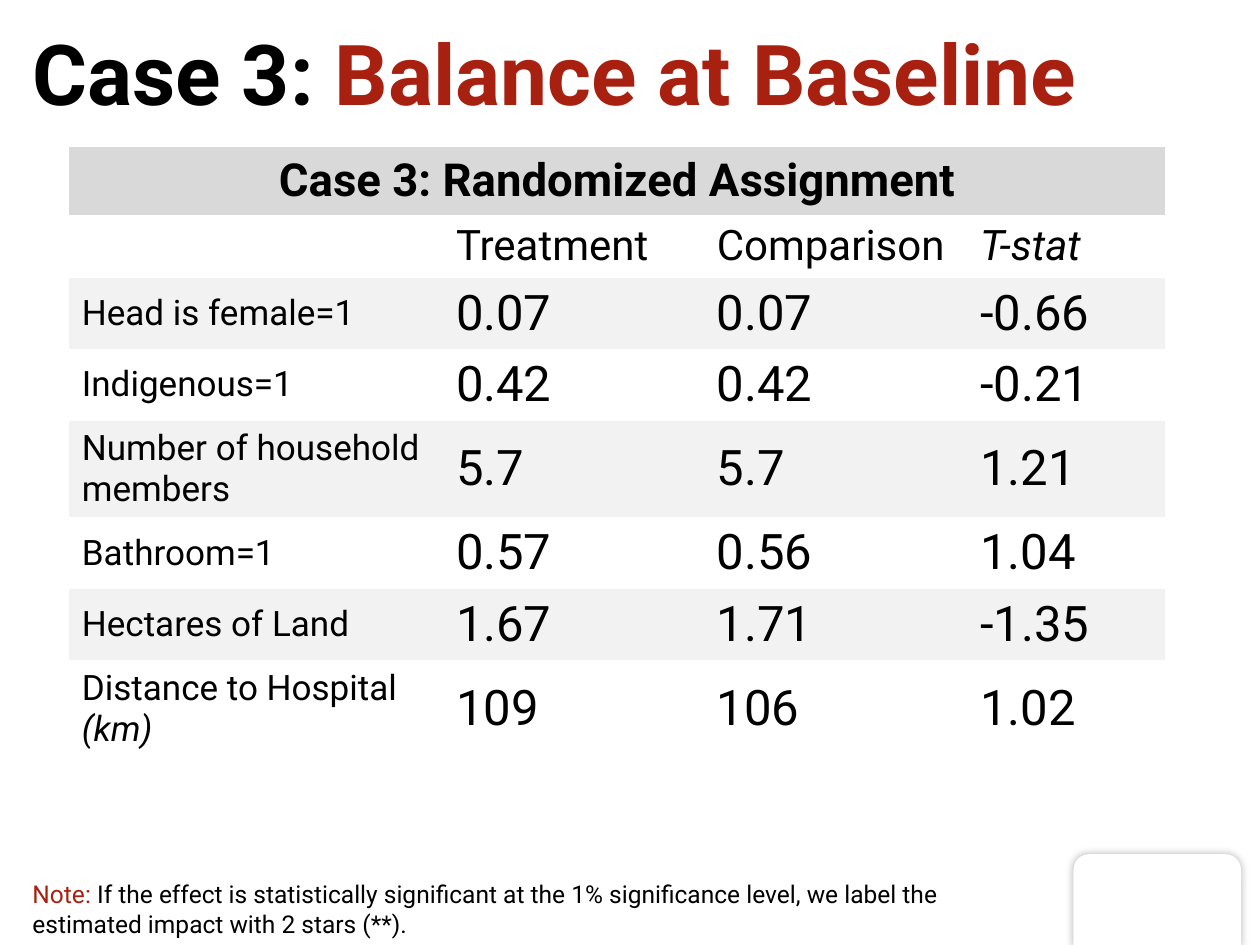
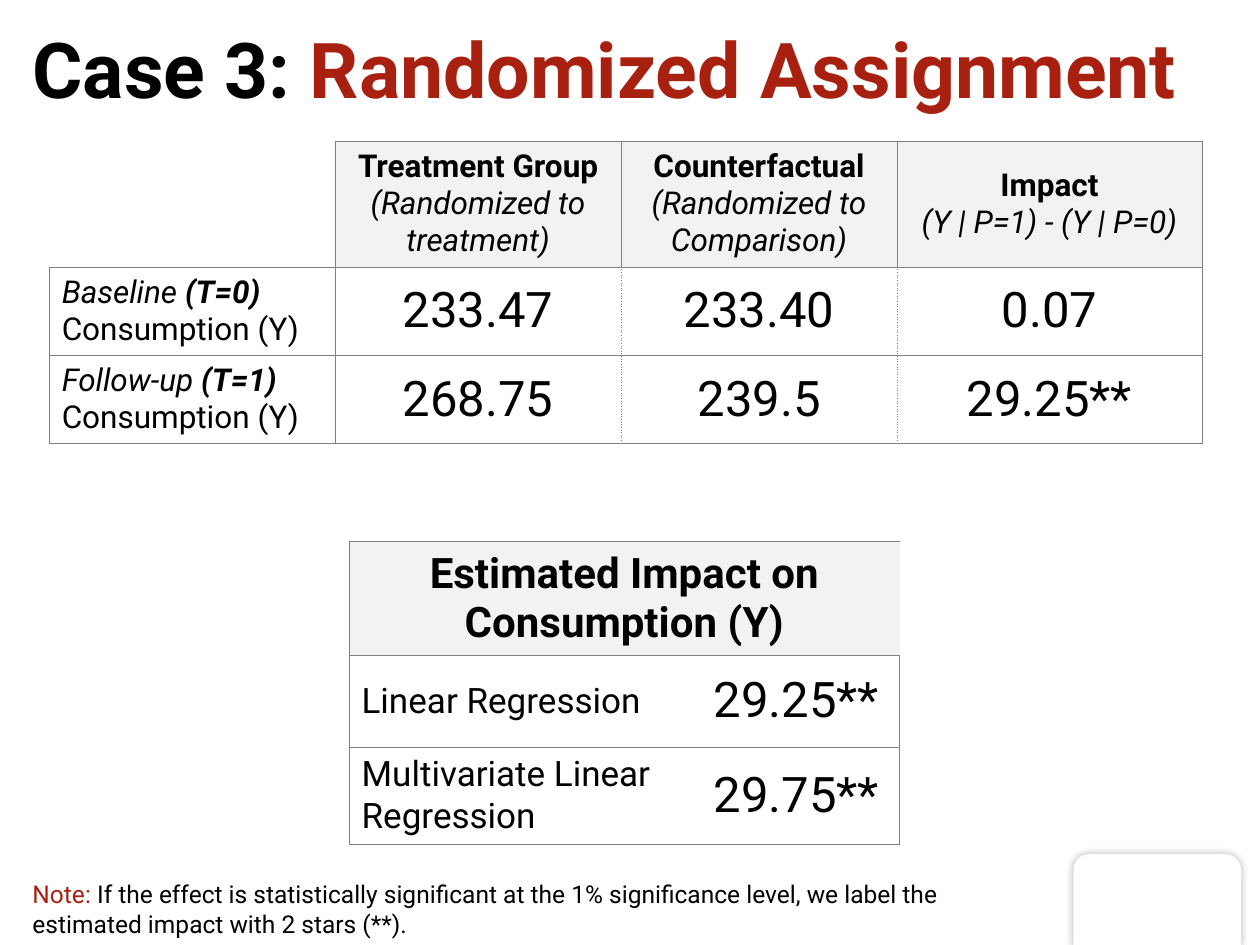
from lxml import etree
from pptx import Presentation
from pptx.dml.color import RGBColor
from pptx.enum.shapes import MSO_SHAPE
from pptx.enum.text import MSO_ANCHOR, PP_ALIGN
from pptx.oxml import parse_xml
from pptx.oxml.ns import qn
from pptx.util import Inches, Pt

BLACK = RGBColor(0x00, 0x00, 0x00)
WHITE = RGBColor(0xFF, 0xFF, 0xFF)
RED = RGBColor(0xA8, 0x20, 0x10)
HEAD = RGBColor(0xD9, 0xD9, 0xD9)
PALE = RGBColor(0xF2, 0xF2, 0xF2)
GREY = RGBColor(0x80, 0x80, 0x80)
LEFT, MID = PP_ALIGN.LEFT, PP_ALIGN.CENTER
MIDDLE = MSO_ANCHOR.MIDDLE
TAB = MSO_SHAPE.ROUND_2_SAME_RECTANGLE
FONT = "Roboto"
WIDE, HIGH = 10, 7.5
EDGE = 0.16
SOLID, DOT = "solid", "sysDot"
SHADOW = (
    '<a:effectLst xmlns:a="http://schemas.openxmlformats.org/drawingml/2006/main">'
    '<a:outerShdw blurRad="63500" dist="0" algn="ctr" rotWithShape="0">'
    '<a:srgbClr val="000000"><a:alpha val="30000"/></a:srgbClr>'
    '</a:outerShdw></a:effectLst>'
)

NOTE = [
    ("Note: ", "", RED),
    ("If the effect is statistically significant at the 1% significance level, "
     "we label the estimated impact with 2 stars (**).", ""),
]


def label(*runs):
    return 20, LEFT, [[(runs[0], "")] + [(run, "i") for run in runs[1:]]]


def value(text, align=MID):
    return 28, align, [[(text, "")]]


def name(text, style=""):
    return 24, LEFT, [[(text, style)]]


def banner(text, size):
    return size, MID, [[(text, "b")]]


def group(*paras):
    return 18, MID, paras


def period(text, time):
    return 18, LEFT, [[(text, "i"), (time, "bi")], [("Consumption (Y)", "")]]


BALANCE = [
    (["Head is female=1"], "0.07", "0.07", "-0.66"),
    (["Indigenous=1"], "0.42", "0.42", "-0.21"),
    (["Number of household members"], "5.7", "5.7", "1.21"),
    (["Bathroom=1"], "0.57", "0.56", "1.04"),
    (["Hectares of Land"], "1.67", "1.71", "-1.35"),
    (["Distance to Hospital ", "(km)"], "109", "106", "1.02"),
]
MEANS = [
    ("Baseline ", "(T=0)", "233.47", "233.40", "0.07"),
    ("Follow-up ", "(T=1)", "268.75", "239.5", "29.25**"),
]
MODELS = [
    ("Linear Regression", "29.25**"),
    ("Multivariate Linear Regression", "29.75**"),
]


def balance_fill(row, col):
    return HEAD if row == 0 else PALE if row % 2 == 0 else None


def balance_line(row, col):
    return {}


def means_fill(row, col):
    return PALE if row == 0 and col else None


def means_line(row, col):
    if row == col == 0:
        return {"R": SOLID, "B": SOLID}
    return {
        "L": DOT if row and col > 1 else SOLID,
        "R": DOT if row and 0 < col < 3 else SOLID,
        "T": SOLID,
        "B": SOLID,
    }


def model_fill(row, col):
    return PALE if row == 0 else None


def model_line(row, col):
    return {"R" if col else "L": SOLID, "T": SOLID, "B": SOLID}


TABLES = {
    "balance": dict(
        at=(0.55, 1.17),
        cols=[2.97, 2.07, 2.09, 1.57],
        rows=[0.52, 0.49, 0.56, 0.56, 0.75, 0.56, 0.56, 0.75],
        cells=[
            [banner("Case 3: Randomized Assignment", 26)],
            [None, name("Treatment"), name("Comparison"), name("T-stat", "i")],
        ] + [[label(*head)] + [value(num, LEFT) for num in nums]
             for head, *nums in BALANCE],
        fill=balance_fill,
        line=balance_line,
    ),
    "means": dict(
        at=(0.39, 1.12),
        cols=[2.27, 2.27, 2.19, 2.42],
        rows=[0.98, 0.69, 0.69],
        cells=[[
            None,
            group([("Treatment Group", "b")], [("(Randomized to treatment)", "i")]),
            group([("Counterfactual ", "b"), ("(Randomized to Comparison)", "i")]),
            group([("Impact", "b")], [("(Y | P=1) - (Y | P=0)", "i")]),
        ]] + [[period(text, time)] + [value(num) for num in nums]
              for text, time, *nums in MEANS],
        fill=means_fill,
        line=means_line,
    ),
    "models": dict(
        at=(2.77, 4.3),
        cols=[2.73, 1.64],
        rows=[0.88, 0.73, 0.76],
        cells=[[banner("Estimated Impact on Consumption (Y)", 24)]]
        + [[label(text), value(num)] for text, num in MODELS],
        fill=model_fill,
        line=model_line,
    ),
}
SLIDES = [
    ("Balance at Baseline", 48, ["balance"]),
    ("Randomized Assignment", 44, ["means", "models"]),
]


def write(frame, paras, size, align=LEFT):
    frame.word_wrap = True
    for num, runs in enumerate(paras):
        para = frame.add_paragraph() if num else frame.paragraphs[0]
        para.alignment = align
        for text, style, *tint in runs:
            run = para.add_run()
            run.text = text
            font = run.font
            font.name, font.size = FONT, Pt(size)
            font.bold, font.italic = "b" in style, "i" in style
            font.color.rgb = tint[0] if tint else BLACK


def add_text(slide, top, wide, high, runs, size, inset=0.05):
    box = slide.shapes.add_textbox(
        Inches(EDGE), Inches(top), Inches(wide), Inches(high))
    box.text_frame.margin_top = Inches(inset)
    write(box.text_frame, [runs], size)


def add_tab(slide):
    tab = slide.shapes.add_shape(
        TAB, Inches(8.52), Inches(6.78), Inches(1.33), Inches(0.73))
    tab.fill.solid()
    tab.fill.fore_color.rgb = WHITE
    tab.line.fill.background()
    tab._element.spPr.append(parse_xml(SHADOW))


def draw_edges(cell, lines):
    props = cell._tc.get_or_add_tcPr()
    for side in "LRTB":
        edge = etree.SubElement(props, qn("a:ln" + side), w=str(Pt(0.5)))
        if side in lines:
            fill = etree.SubElement(edge, qn("a:solidFill"))
            etree.SubElement(fill, qn("a:srgbClr"), val=str(GREY))
            etree.SubElement(edge, qn("a:prstDash"), val=lines[side])
        else:
            etree.SubElement(edge, qn("a:noFill"))


def add_grid(slide, at, cols, rows, cells, fill, line):
    left, top = at
    grid = slide.shapes.add_table(
        len(rows), len(cols), Inches(left), Inches(top),
        Inches(sum(cols)), Inches(sum(rows))).table
    grid.first_row = grid.horz_banding = False
    for col, wide in zip(grid.columns, cols):
        col.width = Inches(wide)
    for row, high in zip(grid.rows, rows):
        row.height = Inches(high)
    for r, items in enumerate(cells):
        for c in range(len(cols)):
            cell = grid.cell(r, c)
            cell.vertical_anchor = MIDDLE
            draw_edges(cell, line(r, c))
            tint = fill(r, c)
            if tint is None:
                cell.fill.background()
            else:
                cell.fill.solid()
                cell.fill.fore_color.rgb = tint
        if len(items) == 1:
            grid.cell(r, 0).merge(grid.cell(r, len(cols) - 1))
        for c, item in enumerate(items):
            if item:
                size, align, paras = item
                write(grid.cell(r, c).text_frame, paras, size, align)


def main():
    deck = Presentation()
    deck.slide_width, deck.slide_height = Inches(WIDE), Inches(HIGH)
    for title, size, keys in SLIDES:
        slide = deck.slides.add_slide(deck.slide_layouts[6])
        add_tab(slide)
        add_text(slide, 0.08, 9.69, 0.94,
                 [("Case 3: ", "b"), (title, "b", RED)], size, 0.09)
        for key in keys:
            add_grid(slide, **TABLES[key])
        add_text(slide, 6.93, 8.14, 0.57, NOTE, 14)
    deck.save("out.pptx")


if __name__ == "__main__":
    main()
